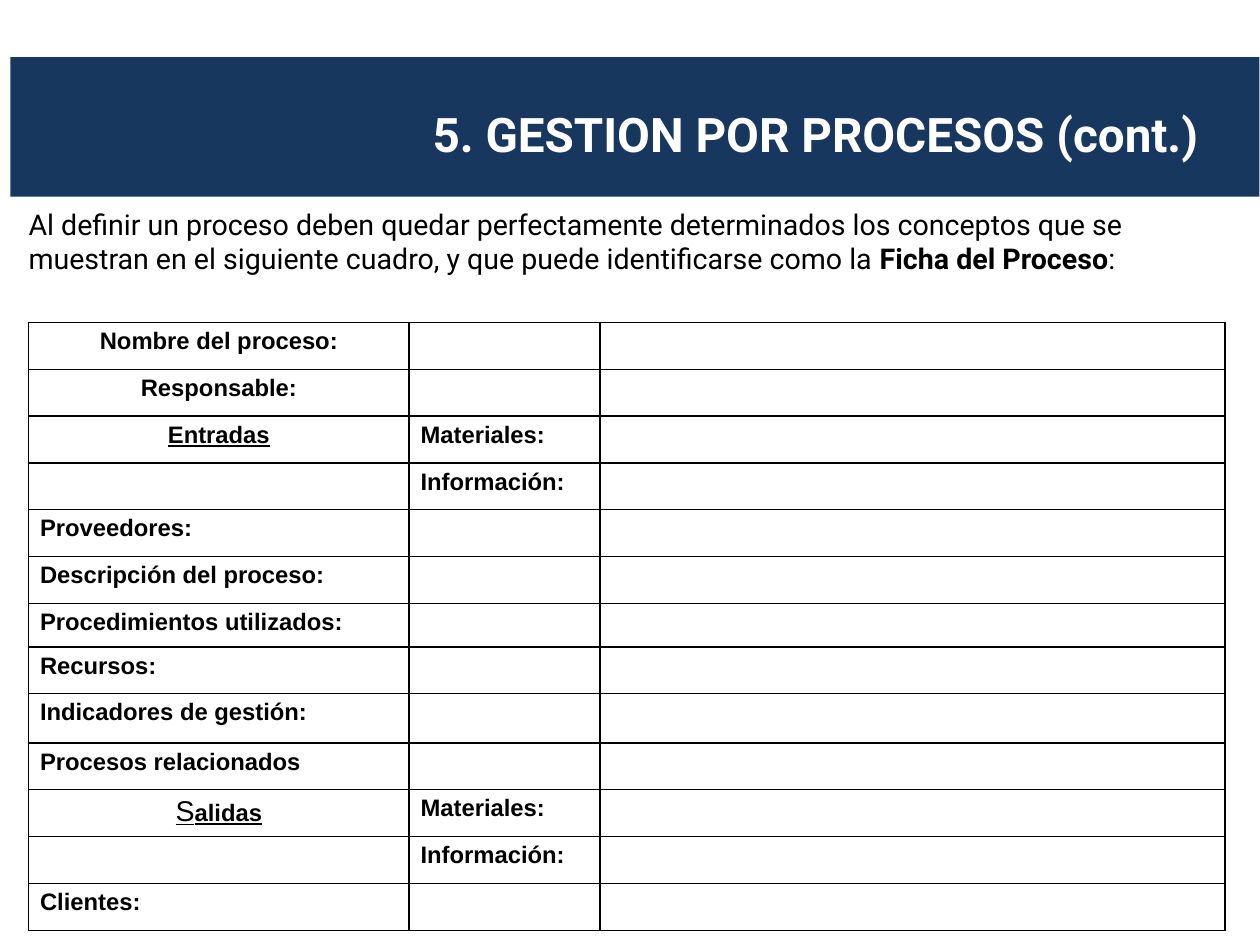
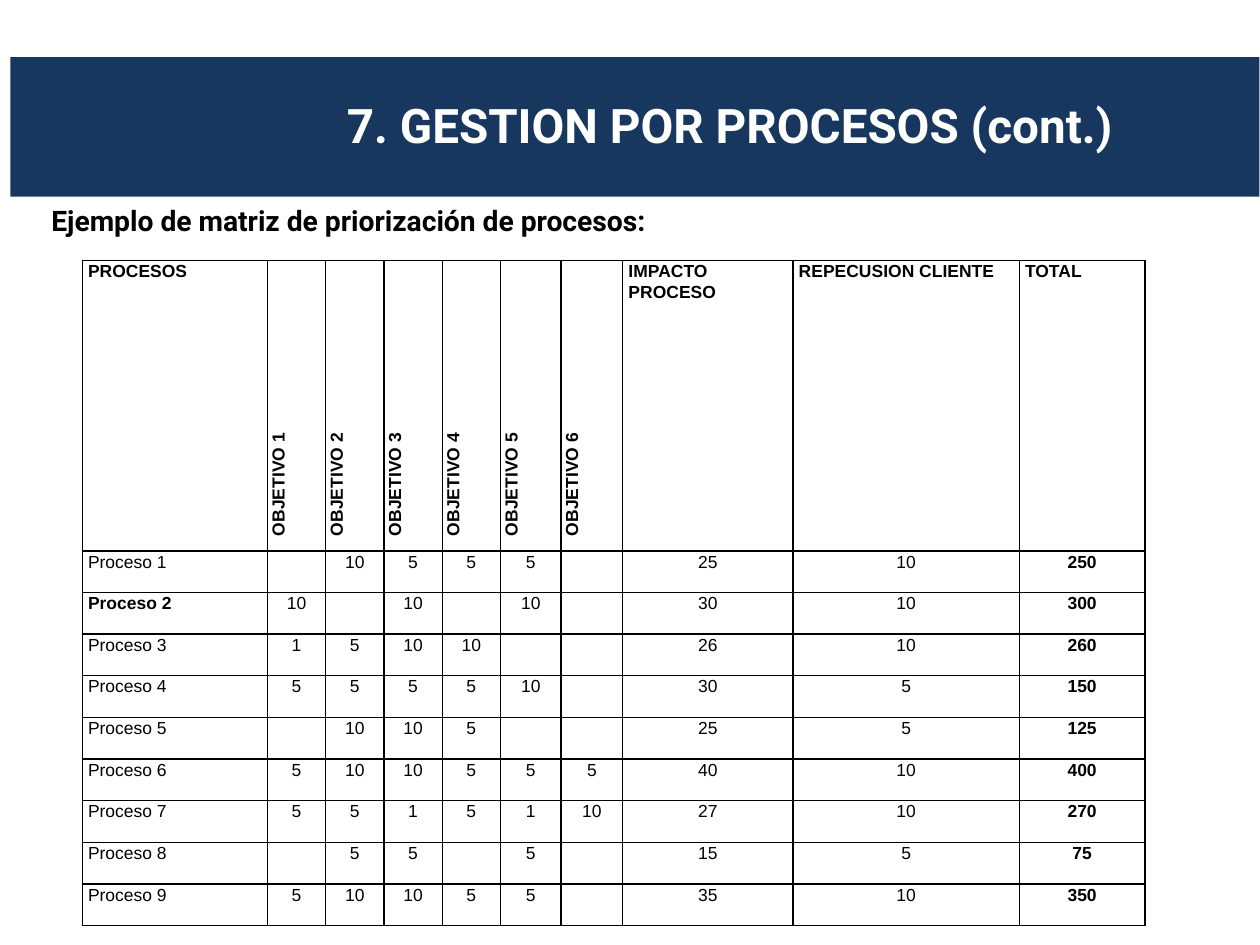
from typing import NamedTuple

from lxml.etree import SubElement
from pptx import Presentation
from pptx.dml.color import RGBColor
from pptx.enum.shapes import MSO_SHAPE
from pptx.enum.text import MSO_ANCHOR, PP_ALIGN
from pptx.oxml.ns import qn
from pptx.util import Emu, Inches, Pt

# The 28 by 21 cm screen format, which has no round size in inches
SLIDE_WIDTH = Emu(10080625)
SLIDE_HEIGHT = Emu(7559675)

COLORS = {"band": "17375E", "title": "FFFFFF", "text": "000000", "border": "000000"}
HEADING_FONT = "Roboto"
TABLE_FONT = "Arial"
BORDER_WIDTH = Pt(1)


class Box(NamedTuple):
    left: float
    top: float
    width: float
    height: float

    def lengths(self) -> tuple:
        return tuple(Inches(value) for value in self)


class Words(NamedTuple):
    """A stretch of text with one format."""
    text: str
    size: float
    font: str = TABLE_FONT
    bold: bool = False
    underline: bool = False
    color: str = "text"


class Entry(NamedTuple):
    """The content of one table cell."""
    words: tuple = ()
    align: PP_ALIGN = PP_ALIGN.LEFT
    vertical: bool = False


class CellStyle(NamedTuple):
    side_margin: float
    top_margin: float
    line_spacing: float = 1.0
    space_after: float = 0


BAND = Box(0.09, 0.5, 10.93, 1.22)
FORM_STYLE = CellStyle(0.1, 0.05)
MATRIX_STYLE = CellStyle(0.05, 0, 1.07, 6)

EMPTY = Entry()


def label(text: str, align: PP_ALIGN = PP_ALIGN.LEFT, underline: bool = False) -> Entry:
    return Entry((Words(text, 15, bold=True, underline=underline),), align)


def matrix_entry(text: str, bold: bool = False, align: PP_ALIGN = PP_ALIGN.LEFT,
                 vertical: bool = False) -> Entry:
    return Entry((Words(text, 11, bold=bold),) if text else (), align, vertical)


MATERIALS = label("Materiales:")
INFORMATION = label("Información:")
OUTPUTS = Entry((Words("S", 18, underline=True),
                 Words("alidas", 15, bold=True, underline=True)), PP_ALIGN.CENTER)
FORM_ROWS = [
    (label("Nombre del proceso:", PP_ALIGN.CENTER), EMPTY),
    (label("Responsable:", PP_ALIGN.CENTER), EMPTY),
    (label("Entradas", PP_ALIGN.CENTER, underline=True), MATERIALS),
    (EMPTY, INFORMATION),
    (label("Proveedores:"), EMPTY),
    (label("Descripción del proceso:"), EMPTY),
    (label("Procedimientos utilizados:"), EMPTY),
    (label("Recursos:"), EMPTY),
    (label("Indicadores de gestión:"), EMPTY),
    (label("Procesos relacionados"), EMPTY),
    (OUTPUTS, MATERIALS),
    (EMPTY, INFORMATION),
    (label("Clientes:"), EMPTY),
]
FORM_COLUMNS = [3.33, 1.67, 5.47]
FORM_HEIGHTS = [0.41] * 6 + [0.38, 0.41, 0.43] + [0.41] * 4

HIGHLIGHTED_PROCESS = 2
GOAL_COUNT = 6
# Six goal scores, then process impact, customer effect and total
SCORES = [
    ("", "10", "5", "5", "5", "", "25", "10", "250"),
    ("10", "", "10", "", "10", "", "30", "10", "300"),
    ("1", "5", "10", "10", "", "", "26", "10", "260"),
    ("5", "5", "5", "5", "10", "", "30", "5", "150"),
    ("", "10", "10", "5", "", "", "25", "5", "125"),
    ("5", "10", "10", "5", "5", "5", "40", "10", "400"),
    ("5", "5", "1", "5", "1", "10", "27", "10", "270"),
    ("", "5", "5", "", "5", "", "15", "5", "75"),
    ("5", "10", "10", "5", "5", "", "35", "10", "350"),
]
MATRIX_COLUMNS = [1.62] + [0.51] * 4 + [0.53, 0.54, 1.49, 1.98, 1.1]
MATRIX_HEIGHT = 5.82
HEADER_HEIGHT = 2.54
MATRIX_HEIGHTS = [HEADER_HEIGHT] + [(MATRIX_HEIGHT - HEADER_HEIGHT) / len(SCORES)] * len(SCORES)


def matrix_rows() -> list:
    header = [matrix_entry("PROCESOS", bold=True)]
    header += [matrix_entry(f"OBJETIVO {goal}", bold=True, vertical=True)
               for goal in range(1, GOAL_COUNT + 1)]
    header += [matrix_entry(heading, bold=True)
               for heading in ("IMPACTO PROCESO", "REPECUSION CLIENTE", "TOTAL")]
    rows = [header]
    for number, (*scores, total) in enumerate(SCORES, start=1):
        rows.append([
            matrix_entry(f"Proceso {number}", bold=number == HIGHLIGHTED_PROCESS),
            *(matrix_entry(score, align=PP_ALIGN.CENTER) for score in scores),
            matrix_entry(total, bold=True, align=PP_ALIGN.CENTER),
        ])
    return rows


def color(name: str) -> RGBColor:
    return RGBColor.from_string(COLORS[name])


def write(paragraph, words: tuple, align: PP_ALIGN) -> None:
    paragraph.alignment = align
    for part in words:
        run = paragraph.add_run()
        run.text = part.text
        run.font.name = part.font
        run.font.size = Pt(part.size)
        run.font.bold = part.bold
        run.font.underline = part.underline
        run.font.color.rgb = color(part.color)


def add_text(slide, box: Box, words: tuple, align: PP_ALIGN = PP_ALIGN.LEFT,
             anchor: MSO_ANCHOR = MSO_ANCHOR.TOP, bottom_margin: float = 0) -> None:
    frame = slide.shapes.add_textbox(*box.lengths()).text_frame
    frame.word_wrap = True
    frame.vertical_anchor = anchor
    frame.margin_left = frame.margin_right = frame.margin_top = Inches(0)
    frame.margin_bottom = Inches(bottom_margin)
    write(frame.paragraphs[0], words, align)


def add_titled_slide(deck, title: str, title_box: Box, bottom_margin: float = 0):
    slide = deck.slides.add_slide(deck.slide_layouts[6])
    band = slide.shapes.add_shape(MSO_SHAPE.RECTANGLE, *BAND.lengths())
    band.shadow.inherit = False
    band.fill.solid()
    band.fill.fore_color.rgb = color("band")
    band.line.fill.background()
    add_text(slide, title_box, (Words(title, 30, HEADING_FONT, True, color="title"),),
             PP_ALIGN.RIGHT, MSO_ANCHOR.MIDDLE, bottom_margin)
    return slide


def add_borders(cell) -> None:
    properties = cell._tc.get_or_add_tcPr()
    for side in ("lnL", "lnR", "lnT", "lnB"):
        line = SubElement(properties, qn(f"a:{side}"), w=str(BORDER_WIDTH))
        fill = SubElement(line, qn("a:solidFill"))
        SubElement(fill, qn("a:srgbClr"), val=COLORS["border"])


def fill_cell(cell, entry: Entry, style: CellStyle) -> None:
    add_borders(cell)
    cell.fill.background()
    cell.margin_left = cell.margin_right = Inches(style.side_margin)
    # Without vertical margins an empty cell never stretches its row
    cell.margin_top = cell.margin_bottom = Inches(style.top_margin if entry.words else 0)
    if not entry.words:
        return
    paragraph = cell.text_frame.paragraphs[0]
    paragraph.line_spacing = style.line_spacing
    paragraph.space_after = Pt(style.space_after)
    if entry.vertical:
        cell._tc.get_or_add_tcPr().set("vert", "vert270")
        paragraph._p.get_or_add_pPr().set("marL", str(Inches(0.08)))
    write(paragraph, entry.words, entry.align)


def add_grid(slide, left: float, top: float, columns: list, heights: list,
             rows: list, style: CellStyle) -> None:
    """Draw a bordered table; cells missing at the end of a row stay empty."""
    box = Box(left, top, sum(columns), sum(heights))
    table = slide.shapes.add_table(len(heights), len(columns), *box.lengths()).table
    table.first_row = table.horz_banding = False
    for column, width in zip(table.columns, columns):
        column.width = Inches(width)
    for row, height, entries in zip(table.rows, heights, rows):
        row.height = Inches(height)
        for index, cell in enumerate(row.cells):
            fill_cell(cell, entries[index] if index < len(entries) else EMPTY, style)


def add_process_form(deck) -> None:
    slide = add_titled_slide(deck, "5. GESTION POR PROCESOS (cont.)",
                             Box(-0.24, 0.82, 10.73, 0.99), bottom_margin=0.29)
    add_text(slide, Box(0.25, 1.81, 10.54, 3.57), (
        Words("Al definir un proceso deben quedar perfectamente determinados los conceptos "
              "que se muestran en el siguiente cuadro, y que puede identificarse como la ",
              18, HEADING_FONT),
        Words("Ficha del Proceso", 18, HEADING_FONT, bold=True),
        Words(":", 18, HEADING_FONT),
    ))
    add_grid(slide, 0.25, 2.82, FORM_COLUMNS, FORM_HEIGHTS, FORM_ROWS, FORM_STYLE)


def add_priority_matrix(deck) -> None:
    slide = add_titled_slide(deck, "7. GESTION POR PROCESOS (cont.)",
                             Box(-0.18, 0.59, 9.92, 0.99))
    add_text(slide, Box(0.45, 1.78, 10.23, 3.57),
             (Words("Ejemplo de matriz de priorización de procesos:", 17.8,
                    HEADING_FONT, bold=True),), PP_ALIGN.JUSTIFY)
    add_grid(slide, 0.72, 2.28, MATRIX_COLUMNS, MATRIX_HEIGHTS, matrix_rows(), MATRIX_STYLE)


def main() -> None:
    deck = Presentation()
    deck.slide_width = SLIDE_WIDTH
    deck.slide_height = SLIDE_HEIGHT
    add_process_form(deck)
    add_priority_matrix(deck)
    deck.save("out.pptx")


if __name__ == "__main__":
    main()
